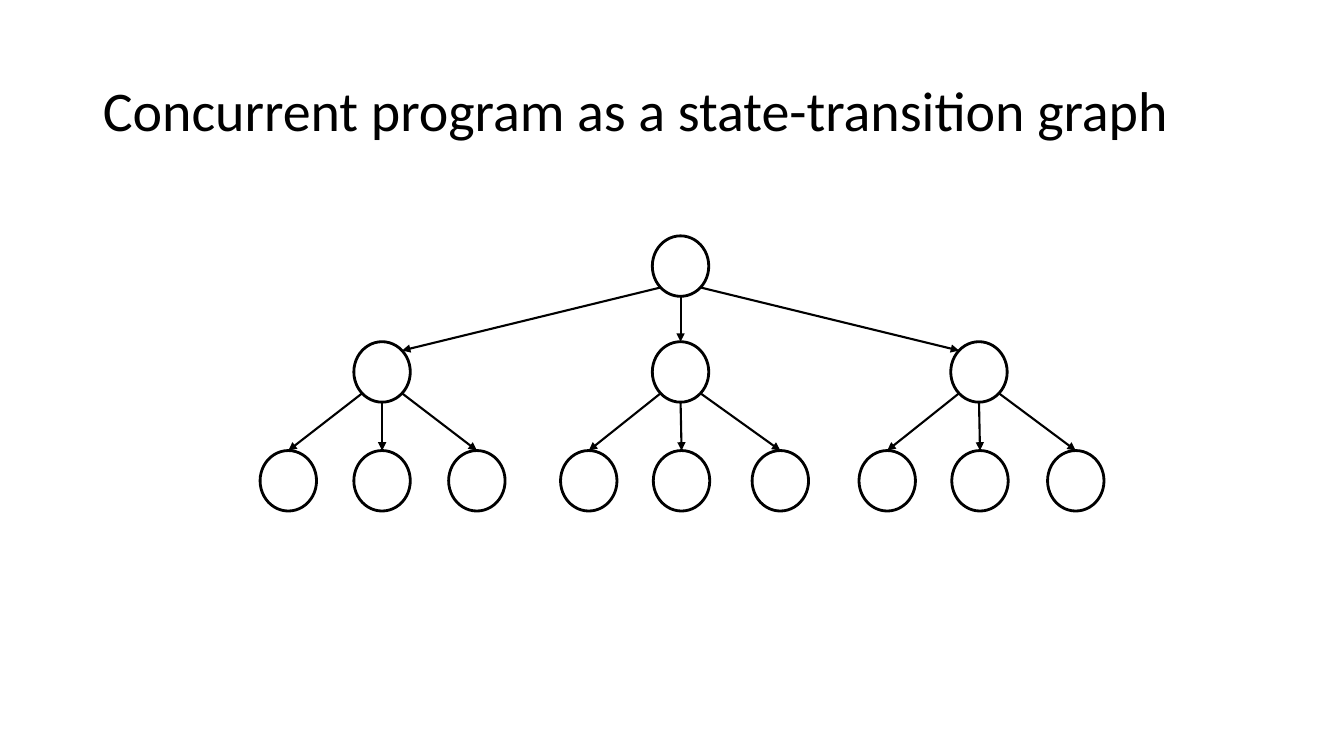
import math

import pptx
import pptx.dml.color
import pptx.enum.shapes
import pptx.enum.text
import pptx.oxml.ns
import pptx.util
from lxml import etree

PX = 9144
BLACK = pptx.dml.color.RGBColor(0x00, 0x00, 0x00)
FONT = "Calibri"
NODE_W, NODE_H = 56, 60
LEVEL_TOPS = (0, 105, 213)
ROOT_LEFT = 389
BRANCHES = (
    (93, (0, 93, 187)),
    (389, (298, 390, 488)),
    (685, (594, 686, 781)),
)


def px(n):
    return pptx.util.Emu(round(n * PX))


def write_text(tf, text, size, color, align, anchor, line_spacing):
    tf.word_wrap = True
    tf.auto_size = pptx.enum.text.MSO_AUTO_SIZE.NONE
    tf.vertical_anchor = anchor
    p = tf.paragraphs[0]
    p.alignment = align
    p.line_spacing = line_spacing
    r = p.add_run()
    r.text = text
    r.font.name = FONT
    r.font.size = pptx.util.Pt(size)
    r.font.color.rgb = color


def add_title(slide, text, left, top, width, height):
    sp = slide.shapes.title
    sp.left, sp.top, sp.width, sp.height = map(px, (left, top, width, height))
    write_text(sp.text_frame, text, size=40, color=BLACK,
               align=pptx.enum.text.PP_ALIGN.LEFT,
               anchor=pptx.enum.text.MSO_ANCHOR.MIDDLE, line_spacing=0.9)


def add_state(group, left, top):
    sp = group.shapes.add_shape(pptx.enum.shapes.MSO_SHAPE.OVAL,
                                px(left), px(top), px(NODE_W), px(NODE_H))
    sp.shadow.inherit = False
    sp.fill.background()
    sp.line.color.rgb = BLACK
    sp.line.width = pptx.util.Pt(2)
    return left, top


def rim_point(state, degrees):
    left, top = state
    angle = math.radians(degrees)
    return (left + NODE_W / 2 * (1 + math.cos(angle)),
            top + NODE_H / 2 * (1 + math.sin(angle)))


def add_transition(group, start, end):
    cx = group.shapes.add_connector(pptx.enum.shapes.MSO_CONNECTOR.STRAIGHT,
                                    *map(px, start + end))
    cx.line.color.rgb = BLACK
    cx.line.width = pptx.util.Pt(1.5)
    ln = cx.line._get_or_add_ln()
    etree.SubElement(ln, pptx.oxml.ns.qn("a:tailEnd"), type="triangle")
    etree.SubElement(cx._element.spPr, pptx.oxml.ns.qn("a:effectLst"))


def add_children(group, parent, children, end_angles):
    for child, start_angle, end_angle in zip(children, (135, 90, 45), end_angles):
        add_transition(group, rim_point(parent, start_angle),
                       rim_point(child, end_angle))


def add_graph(slide, left, top):
    group = slide.shapes.add_group_shape()
    root_y, branch_y, leaf_y = (top + y for y in LEVEL_TOPS)
    root = add_state(group, left + ROOT_LEFT, root_y)
    branches = [add_state(group, left + x, branch_y) for x, _ in BRANCHES]
    leaves = [[add_state(group, left + x, leaf_y) for x in xs]
              for _, xs in BRANCHES]
    add_children(group, root, branches, (-45, -90, -135))
    for branch, children in zip(branches, leaves):
        add_children(group, branch, children, (-90, -90, -90))


def main():
    prs = pptx.Presentation()
    prs.slide_width, prs.slide_height = px(1333), px(750)
    slide = prs.slides.add_slide(prs.slide_layouts[5])
    add_title(slide, "Concurrent program as a state-transition graph",
              92, 40, 1150, 145)
    add_graph(slide, 258, 234)
    prs.save("out.pptx")


if __name__ == "__main__":
    main()
